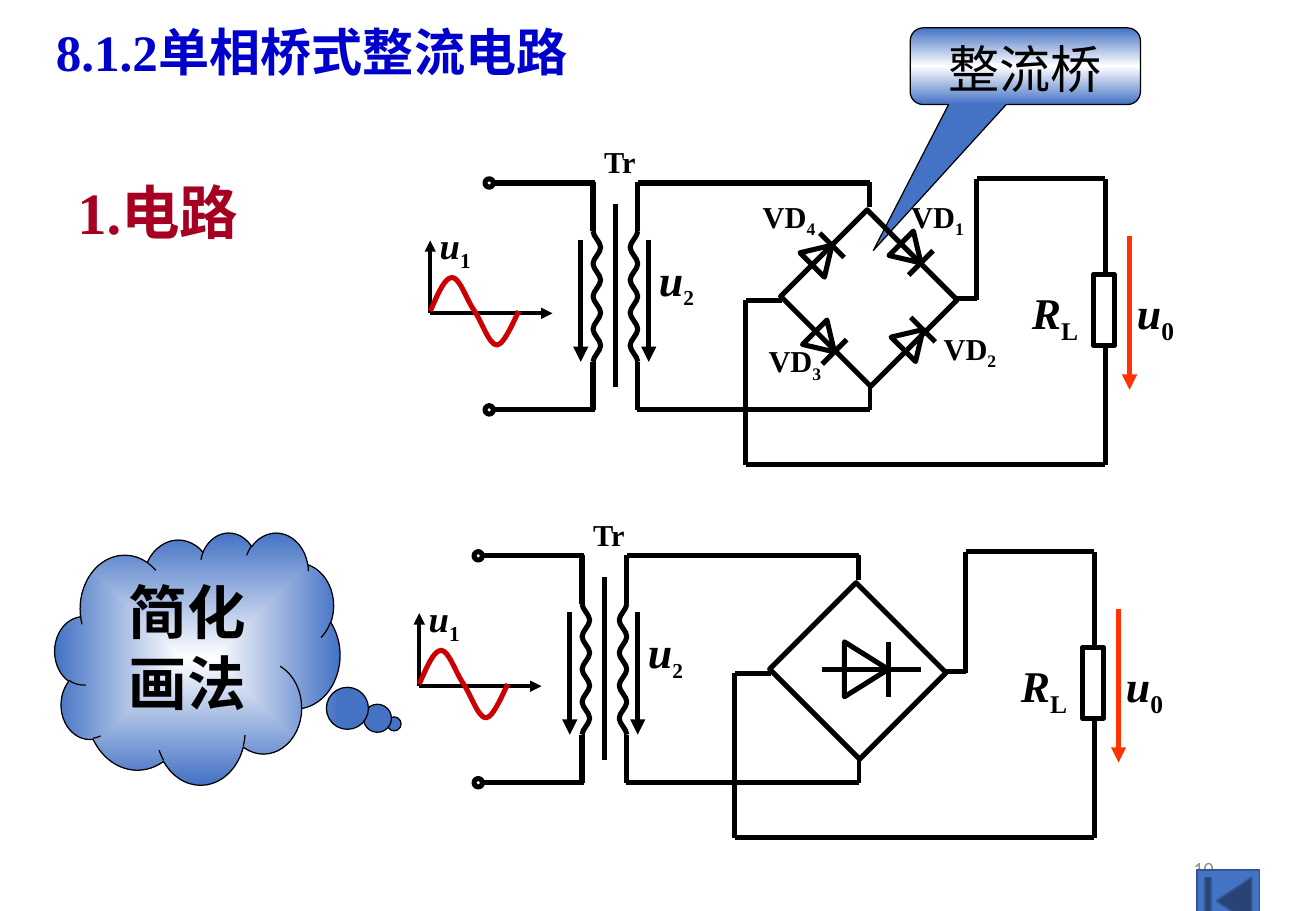
import math
from lxml import etree
from pptx import Presentation
from pptx import util as u
from pptx.dml.color import RGBColor
from pptx.enum import shapes, text
from pptx.oxml import parse_xml
from pptx.oxml.ns import nsdecls, qn

Pt = u.Pt
KIND = shapes.MSO_SHAPE
ALIGN = text.PP_ALIGN
SERIF = "Times New Roman"
HUE = {
    "ink": "000000", "title": "0000CC", "head": "A50021", "wave": "CC0000",
    "load": "FF3300", "blue": "4472C4", "edge": "325491", "gray": "8C8C8C",
    "white": "FFFFFF",
}


def tint(name):
    return RGBColor.from_string(HUE[name])


def write(frame, words, sub="", size=18, subsize=None, color="ink", bold=True,
          slant=False, font=SERIF, align=ALIGN.LEFT, wrap=True,
          anchor=text.MSO_ANCHOR.TOP, pitch=None):
    frame.word_wrap = wrap
    frame.vertical_anchor = anchor
    para = frame.paragraphs[0]
    para.alignment = align
    if pitch:
        para.line_spacing = pitch
    for part, low in ((words, False), (sub, True)):
        if not part:
            continue
        run = para.add_run()
        run.text = part
        face = run.font
        face.name, face.bold = font, bold
        face.size = Pt(subsize if low and subsize else size)
        face.italic = slant and not low
        face.color.rgb = tint(color)
        if low:
            run._r.get_or_add_rPr().set("baseline", "-25000")


def label(slide, box, words, **form):
    area = slide.shapes.add_textbox(*map(Pt, box))
    write(area.text_frame, words, **form)


def wire(slide, start, end, width=3, color="ink", arrow=False):
    line = slide.shapes.add_connector(
        shapes.MSO_CONNECTOR.STRAIGHT, *map(Pt, (*start, *end)))
    line.line.width = Pt(width)
    line.line.color.rgb = tint(color)
    prop = line._element.spPr
    if arrow:
        tip = etree.SubElement(prop.find(qn("a:ln")), qn("a:tailEnd"))
        tip.set("type", "triangle")
    etree.SubElement(prop, qn("a:effectLst"))


def dress(item, fill=None, edge="ink", width=3):
    item.shadow.inherit = False
    if fill:
        item.fill.solid()
        item.fill.fore_color.rgb = tint(fill)
    else:
        item.fill.background()
    item.line.color.rgb = tint(edge)
    item.line.width = Pt(width)


def shape(slide, kind, box, turn=0, **look):
    item = slide.shapes.add_shape(kind, *map(Pt, box))
    item.rotation = turn
    dress(item, **look)
    return item


def blend(item, stops, mode):
    marks = "".join(
        f'<a:gs pos="{pos * 1000}"><a:srgbClr val="{HUE[name]}"/></a:gs>'
        for pos, name in stops)
    grad = parse_xml(f'<a:gradFill {nsdecls("a")} rotWithShape="1">'
                     f'<a:gsLst>{marks}</a:gsLst>{mode}</a:gradFill>')
    prop = item._element.spPr
    prop.replace(prop.find(qn("a:noFill")), grad)


def curve(slide, x, y, spots, color="ink"):
    spots = [(Pt(x + dx), Pt(y + dy)) for dx, dy in spots]
    pen = slide.shapes.build_freeform(*spots[0], scale=1.0)
    pen.add_line_segments(spots[1:], close=False)
    item = pen.convert_to_shape()
    legs = list(item._element.iter(qn("a:lnTo")))
    for n in range(0, len(legs), 3):
        bend = etree.Element(qn("a:cubicBezTo"))
        legs[n].addprevious(bend)
        for leg in legs[n:n + 3]:
            bend.append(leg[0])
            leg.getparent().remove(leg)
    dress(item, edge=color)


def coil(slide, x, y, depth, height=77.5, count=8):
    step = height / count
    spots = [(0, 0)]
    for n in range(count):
        near, far = (0, depth) if n % 2 == 0 else (depth, 0)
        spots += [(near, step * (n + 1 / 3)), (far, step * (n + 2 / 3)),
                  (far, step * (n + 1))]
    curve(slide, x, y, spots)


def wave(slide, x, y):
    curve(slide, x, y, (
        (0, 0), (4.5, -10), (8.5, -20), (13, -20),
        (17.5, -20), (21.5, -7), (26, -0.5),
        (30.5, 6), (35, 20), (39.5, 20),
        (44, 20), (50.5, 3.5), (52.5, 0)), "wave")


def diode(slide, x, y, angle, width=20.5, height=16.5):
    shape(slide, KIND.ISOSCELES_TRIANGLE,
          (x - width / 2, y - height / 2, width, height), angle)
    cos, sin = math.cos(math.radians(angle)), math.sin(math.radians(angle))
    tx, ty = x + sin * height / 2, y - cos * height / 2
    dx, dy = cos * width / 2, sin * width / 2
    wire(slide, (tx - dx, ty - dy), (tx + dx, ty + dy))


def circuit(slide, left, top):
    def at(x, y):
        return left + x, top + y

    for y in (28.5, 163):
        wire(slide, at(42.5, y), at(102.5, y))
        shape(slide, KIND.OVAL, (*at(37.5, y - 2.5), 5, 5))
    for x, depth in ((101.5, 4.5), (128, -4.5)):
        coil(slide, *at(x, 57), depth)
        wire(slide, at(x, 28), at(x, 57))
        wire(slide, at(x, 134.5), at(x, 163))
    for x in (94.25, 134.5):
        wire(slide, at(x, 62), at(x, 134.5), arrow=True)

    paths = (
        ((115, 41), (115, 149.5)),
        ((128, 28.5), (265.5, 28.5)), ((265.5, 28), (265.5, 43)),
        ((127.5, 163), (265.5, 163)),
        ((213.5, 98), (192, 98)), ((192, 98), (192, 195.5)),
        ((192, 195.5), (405, 195.5)), ((405, 195.5), (405, 124.5)),
        ((405, 81.5), (405, 26)), ((405, 26), (329, 26)),
        ((329, 26), (329, 98)), ((329, 97), (316, 97)),
    )
    for start, end in paths:
        wire(slide, at(*start), at(*end))
    wire(slide, at(265.5, 163), at(265.5, 149.5), width=2.25)
    shape(slide, KIND.RECTANGLE, (*at(227.25, 60.5), 75.5, 72.5), 45)
    shape(slide, KIND.RECTANGLE, (*at(398, 82.75), 12.5, 42))

    for end in ((5, 62.5), (77.5, 105.75)):
        wire(slide, at(5, 105.75), at(*end), width=2.25, arrow=True)
    wave(slide, *at(5, 104.5))
    wire(slide, at(419.5, 60), at(419.5, 151), color="load", arrow=True)

    label(slide, (*at(101, 1.5), 33, 29), "Tr", wrap=False)
    marks = (
        (3.5, 48.75, 37, 34, "u", "1", 21.7, 21.7),
        (133.5, 66, 52, 39, "u", "2", 26, 21.7),
        (354.5, 86, 66, 39, "R", "L", 26, 26),
        (416.75, 86, 48, 39, "u", "0", 26, 26),
    )
    for x, y, wide, high, name, sub, size, small in marks:
        label(slide, (*at(x, y), wide, high), name, sub=sub, size=size,
              subsize=small, slant=True)


def bridge(slide, left, top):
    cells = (
        ("1", 290, 70, 135, 283, 33.75),
        ("2", 291.25, 121.25, 45, 302.25, 112),
        ("3", 238.75, 122.75, 135, 198.5, 119.25),
        ("4", 237.25, 71.25, 45, 195, 33.75),
    )
    for sub, x, y, angle, tx, ty in cells:
        diode(slide, left + x, top + y, angle)
        label(slide, (left + tx, top + ty, 58, 29), "VD", sub=sub)


def symbol(slide, left, top):
    diode(slide, left + 270, top + 95.75, 90, 32.5, 26)
    wire(slide, (left + 244, top + 95.75), (left + 302.5, top + 95.75))


def bubble(slide, box, kind, bends, stops, mode, words, **form):
    item = shape(slide, kind, box, width=0.75)
    for n, bend in enumerate(bends):
        item.adjustments[n] = bend
    blend(item, stops, mode)
    write(item.text_frame, words, align=ALIGN.CENTER, **form)


def main():
    deck = Presentation()
    deck.slide_width, deck.slide_height = Pt(780), Pt(540)
    slide = deck.slides.add_slide(deck.slide_layouts[6])
    middle = text.MSO_ANCHOR.MIDDLE

    bubble(slide, (539.5, 16.5, 136.5, 45.5), KIND.ROUNDED_RECTANGULAR_CALLOUT,
           (-0.66, 2.4, 0.17), ((0, "blue"), (50, "white"), (100, "blue")),
           '<a:lin ang="5400000" scaled="1"/>', "整流桥", size=30.3, bold=False)
    label(slide, (38.75, 101, 156, 49), "1.电路", size=34.7, color="head")
    label(slide, (26, 3.5, 358, 58.5), "8.1.2单相桥式整流电路", size=30.3,
          color="title", anchor=middle, pitch=0.9)
    label(slide, (551, 500.5, 175.5, 29), "10", size=12, color="gray",
          font="Calibri", bold=False, align=ALIGN.RIGHT, anchor=middle)

    first, second = (250, 80), (243.5, 301)
    circuit(slide, *first)
    bridge(slide, *first)
    bubble(slide, (32.5, 315.5, 169, 149.5), KIND.CLOUD_CALLOUT, (0.69, 0.26),
           ((0, "white"), (100, "blue")),
           '<a:path path="rect"><a:fillToRect l="50000" t="50000" '
           'r="50000" b="50000"/></a:path>', "简化画法", size=34.7)
    circuit(slide, *second)
    symbol(slide, *second)
    shape(slide, KIND.ACTION_BUTTON_BEGINNING, (709.5, 515.5, 37, 37),
          fill="blue", edge="edge", width=1)
    deck.save("out.pptx")


if __name__ == "__main__":
    main()
